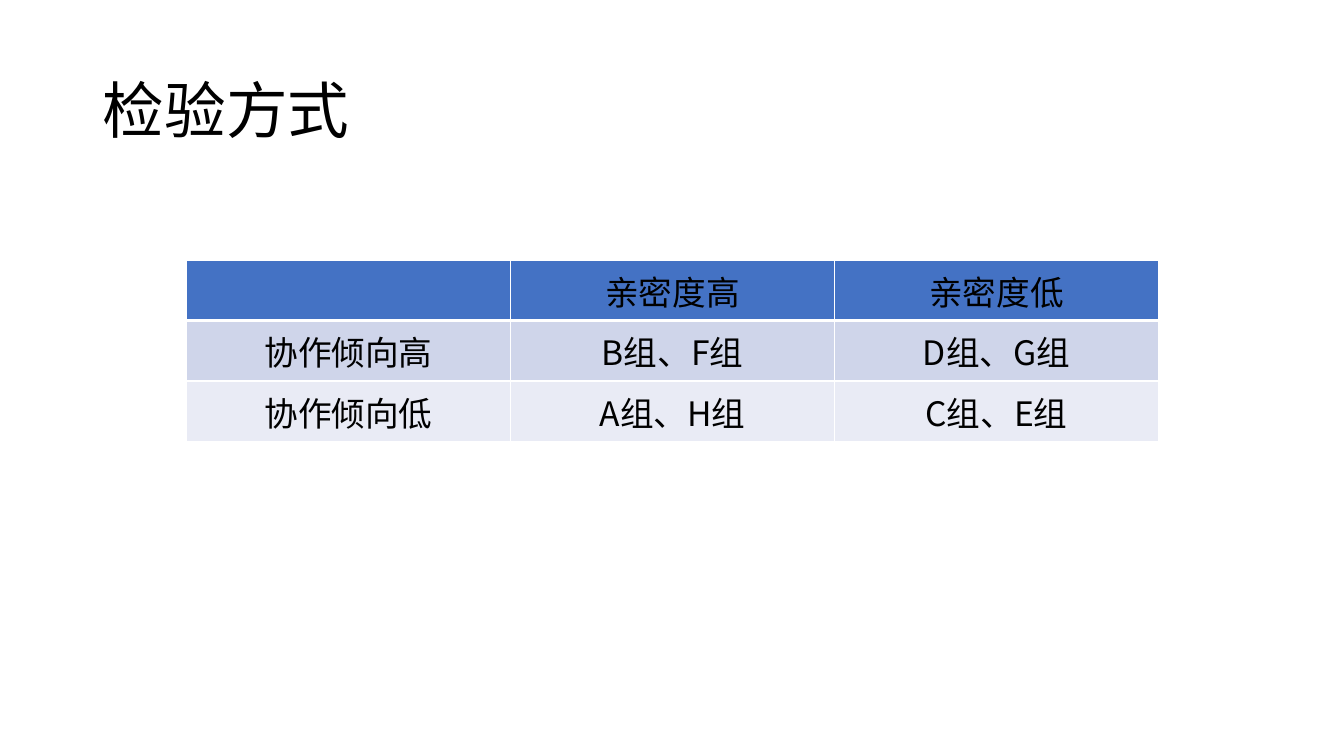
from dataclasses import dataclass

from lxml.etree import SubElement
from pptx import Presentation
from pptx.dml.color import RGBColor
from pptx.enum.text import MSO_ANCHOR, PP_ALIGN
from pptx.oxml.ns import qn
from pptx.util import Inches, Pt


@dataclass(frozen=True)
class Theme:
    """Colours, font, type sizes and line widths of the slide."""
    font: str = "Noto Sans CJK SC"
    ink: str = "000000"
    rule: str = "FFFFFF"
    row_fills: tuple = ("4472C4", "CFD5EA", "E9EBF5")
    title_size: int = 44
    cell_size: int = 24
    thin: int = 1
    thick: int = 3


THEME = Theme()
GROUPS = (
    ("", "亲密度高", "亲密度低"),
    ("协作倾向高", "B组、F组", "D组、G组"),
    ("协作倾向低", "A组、H组", "C组、E组"),
)


def apply(target, values):
    """Set every attribute named in values on target."""
    for name, value in values.items():
        setattr(target, name, value)


def write(frame, wording, size, paragraph_format):
    """Put one formatted line of text in a text frame."""
    line = frame.paragraphs[0]
    apply(line, paragraph_format)
    if not wording:
        return
    run = line.add_run()
    run.text = wording
    apply(run.font, {"name": THEME.font, "size": Pt(size), "bold": False})
    run.font.color.rgb = RGBColor.from_string(THEME.ink)
    SubElement(run.font._element, qn("a:ea"), typeface=THEME.font)


def add_border(cell, side, width):
    """Draw a solid rule on one side of a cell."""
    edge = SubElement(cell._tc.get_or_add_tcPr(), qn(f"a:ln{side}"), w=str(Pt(width)))
    SubElement(SubElement(edge, qn("a:solidFill")), qn("a:srgbClr"), val=THEME.rule)


def format_cell(cell, wording, row):
    """Style and fill one cell according to its row."""
    apply(cell, {
        "vertical_anchor": MSO_ANCHOR.MIDDLE,
        "margin_left": Inches(0.01),
        "margin_top": Inches(0.01),
        "margin_right": Inches(0.01),
        "margin_bottom": 0,
    })
    widths = {
        "L": THEME.thin,
        "R": THEME.thin,
        "T": THEME.thick if row == 1 else THEME.thin,
        "B": THEME.thick if row == 0 else THEME.thin,
    }
    for side, width in widths.items():
        add_border(cell, side, width)
    cell.fill.solid()
    cell.fill.fore_color.rgb = RGBColor.from_string(THEME.row_fills[row])
    write(cell.text_frame, wording, THEME.cell_size, {"alignment": PP_ALIGN.CENTER})


def add_title(slide, wording):
    """Place and fill the title placeholder."""
    heading = slide.shapes.title
    apply(heading, {"left": Inches(0.92), "top": Inches(0.4),
                    "width": Inches(11.5), "height": Inches(1.45)})
    apply(heading.text_frame, {"vertical_anchor": MSO_ANCHOR.MIDDLE, "word_wrap": True})
    write(heading.text_frame, wording, THEME.title_size,
          {"alignment": PP_ALIGN.LEFT, "line_spacing": 0.9})


def add_group_table(slide, groups):
    """Add the table of groups by closeness and collaboration."""
    grid = slide.shapes.add_table(
        len(groups), len(groups[0]),
        Inches(1.85), Inches(2.58), Inches(9.64), Inches(1.8)).table
    for row, wordings in enumerate(groups):
        for column, wording in enumerate(wordings):
            format_cell(grid.cell(row, column), wording, row)


def main():
    """Build and save the slide."""
    deck = Presentation()
    apply(deck, {"slide_width": Inches(13.33), "slide_height": Inches(7.5)})
    slide = deck.slides.add_slide(deck.slide_layouts.get_by_name("Title Only"))
    add_title(slide, "检验方式")
    add_group_table(slide, GROUPS)
    deck.save("out.pptx")


main()
